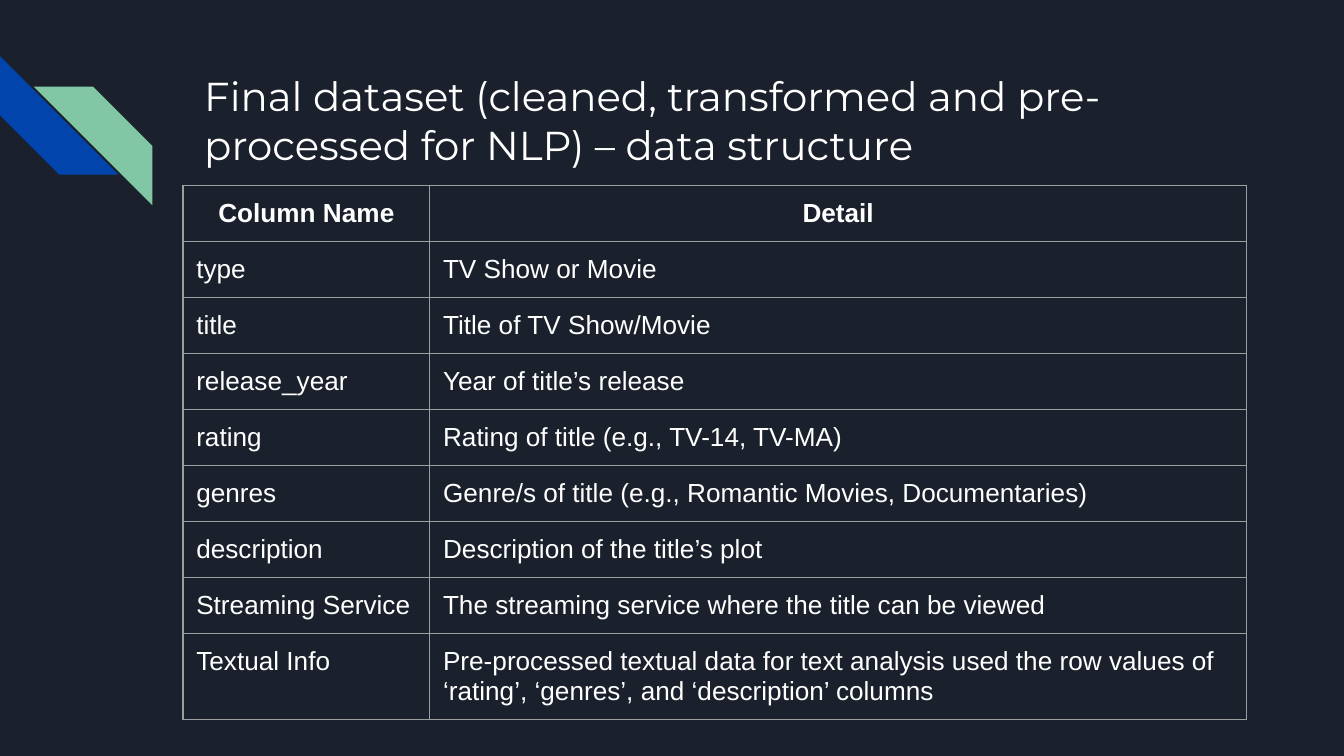
from lxml import etree
from pptx import Presentation
from pptx.dml.color import RGBColor
from pptx.enum import shapes, text
from pptx.oxml import ns
from pptx.util import Cm, Pt

NIGHT = RGBColor(0x1B, 0x21, 0x2C)
BLUE = RGBColor(0x01, 0x45, 0xAC)
GREEN = RGBColor(0x82, 0xC7, 0xA5)
WHITE = RGBColor(0xFF, 0xFF, 0xFF)
GRID = RGBColor(0x9E, 0x9E, 0x9E)

INSET = Cm(0.25)
ROW_HEIGHT = Cm(1.06)
LAST_ROW_HEIGHT = Cm(1.62)
NAME_SHARE = 0.232  # part of the table width taken by the first column

HEADING = "Final dataset (cleaned, transformed and pre-processed for NLP) – data structure"
DATASET_COLUMNS = [
    ("Column Name", "Detail"),
    ("type", "TV Show or Movie"),
    ("title", "Title of TV Show/Movie"),
    ("release_year", "Year of title’s release"),
    ("rating", "Rating of title (e.g., TV-14, TV-MA)"),
    ("genres", "Genre/s of title (e.g., Romantic Movies, Documentaries)"),
    ("description", "Description of the title’s plot"),
    ("Streaming Service", "The streaming service where the title can be viewed"),
    ("Textual Info", "Pre-processed textual data for text analysis used the row values of "
                     "‘rating’, ‘genres’, and ‘description’ columns"),
]


def style_font(font, name, size, bold=False):
    font.name, font.size, font.bold = name, Pt(size), bold
    font.color.rgb = WHITE


def set_insets(frame):
    frame.margin_left = frame.margin_right = INSET
    frame.margin_top = frame.margin_bottom = INSET


def add_stripes(slide, left, top, width, height):
    """Two diagonal stripes in opposite corners of the box."""
    side = Cm(2.24)
    stripes = [
        (left, top, 270, BLUE),
        (left + width - side, top + height - side, 90, GREEN),
    ]
    for x, y, rotation, color in stripes:
        stripe = slide.shapes.add_shape(
            shapes.MSO_SHAPE.DIAGONAL_STRIPE, x, y, side, side)
        stripe.rotation = rotation
        stripe.shadow.inherit = False
        stripe.fill.solid()
        stripe.fill.fore_color.rgb = color
        stripe.line.fill.background()


def set_heading(slide, left, top, width, height):
    heading = slide.shapes.title
    heading.left, heading.top, heading.width, heading.height = left, top, width, height
    frame = heading.text_frame
    frame.text = HEADING
    frame.word_wrap = True
    frame.auto_size = text.MSO_AUTO_SIZE.NONE
    frame.vertical_anchor = text.MSO_ANCHOR.TOP
    set_insets(frame)
    paragraph = frame.paragraphs[0]
    paragraph.alignment = text.PP_ALIGN.LEFT
    paragraph.line_spacing = 1.0
    paragraph.space_before = Pt(0)
    style_font(paragraph.font, "Montserrat", 21.6)


def add_borders(cell):
    """Thin grid line on all four sides; borders come before the fill."""
    properties = cell._tc.get_or_add_tcPr()
    for position, side in enumerate(("lnL", "lnR", "lnT", "lnB")):
        border = etree.Element(ns.qn(f"a:{side}"), w=str(Pt(0.75)))
        fill = etree.SubElement(border, ns.qn("a:solidFill"))
        etree.SubElement(fill, ns.qn("a:srgbClr"), val=str(GRID))
        properties.insert(position, border)


def add_structure_table(slide, left, top, width, height):
    table = slide.shapes.add_table(
        len(DATASET_COLUMNS), 2, left, top, width, height).table
    table.columns[0].width = int(width * NAME_SHARE)
    table.columns[1].width = width - table.columns[0].width

    for index, entry in enumerate(DATASET_COLUMNS):
        is_header = index == 0
        is_last = index == len(DATASET_COLUMNS) - 1
        table.rows[index].height = LAST_ROW_HEIGHT if is_last else ROW_HEIGHT
        for cell, wording in zip(table.rows[index].cells, entry):
            cell.text = wording
            cell.fill.background()
            add_borders(cell)
            set_insets(cell)
            paragraph = cell.text_frame.paragraphs[0]
            paragraph.alignment = (
                text.PP_ALIGN.CENTER if is_header else text.PP_ALIGN.LEFT)
            style_font(paragraph.font, "Arial", 14, bold=is_header)


def main():
    deck = Presentation()
    deck.slide_width, deck.slide_height = Cm(25.4), Cm(14.29)
    slide = deck.slides.add_slide(deck.slide_layouts[5])
    slide.background.fill.solid()
    slide.background.fill.fore_color.rgb = NIGHT

    add_stripes(slide, Cm(0), Cm(1.06), Cm(2.88), Cm(2.82))
    set_heading(slide, Cm(3.61), Cm(1.1), Cm(19.56), Cm(2.54))
    add_structure_table(slide, Cm(3.46), Cm(3.5), Cm(20.1),
                        ROW_HEIGHT * (len(DATASET_COLUMNS) - 1) + LAST_ROW_HEIGHT)
    deck.save("out.pptx")


if __name__ == "__main__":
    main()
